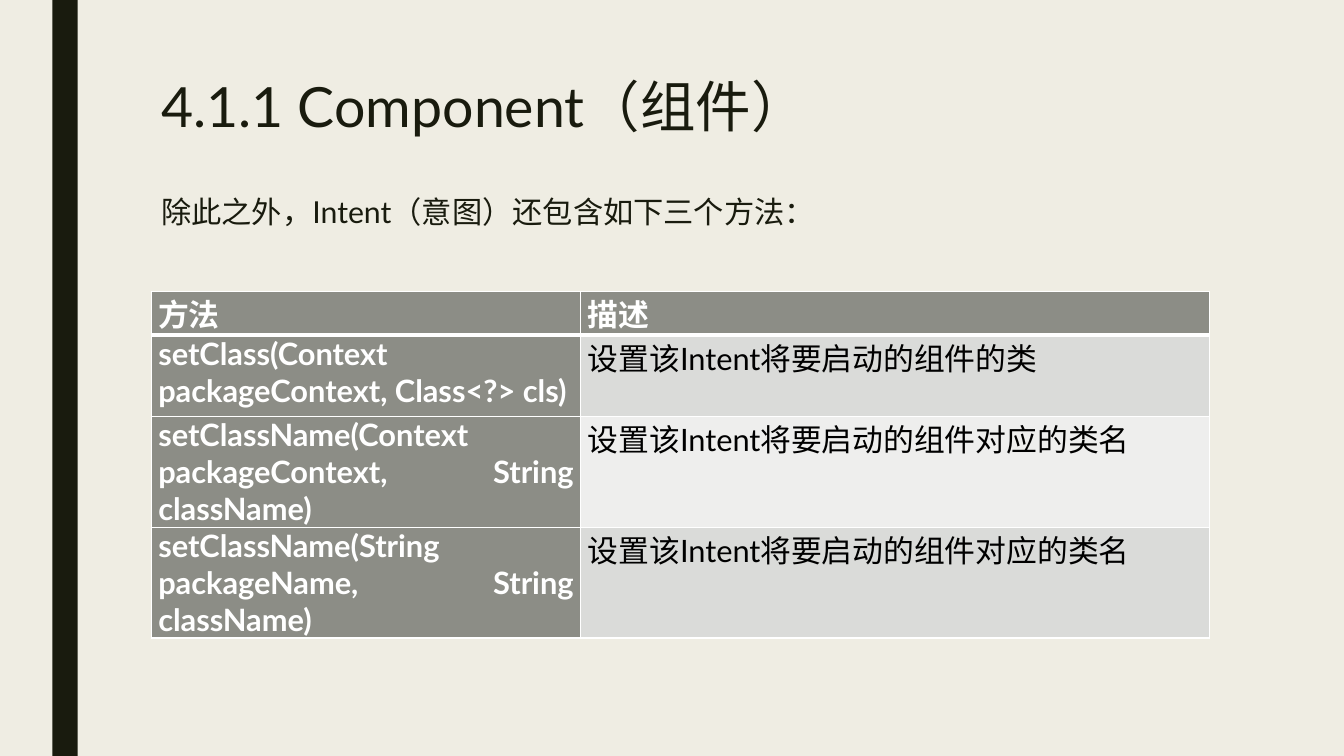
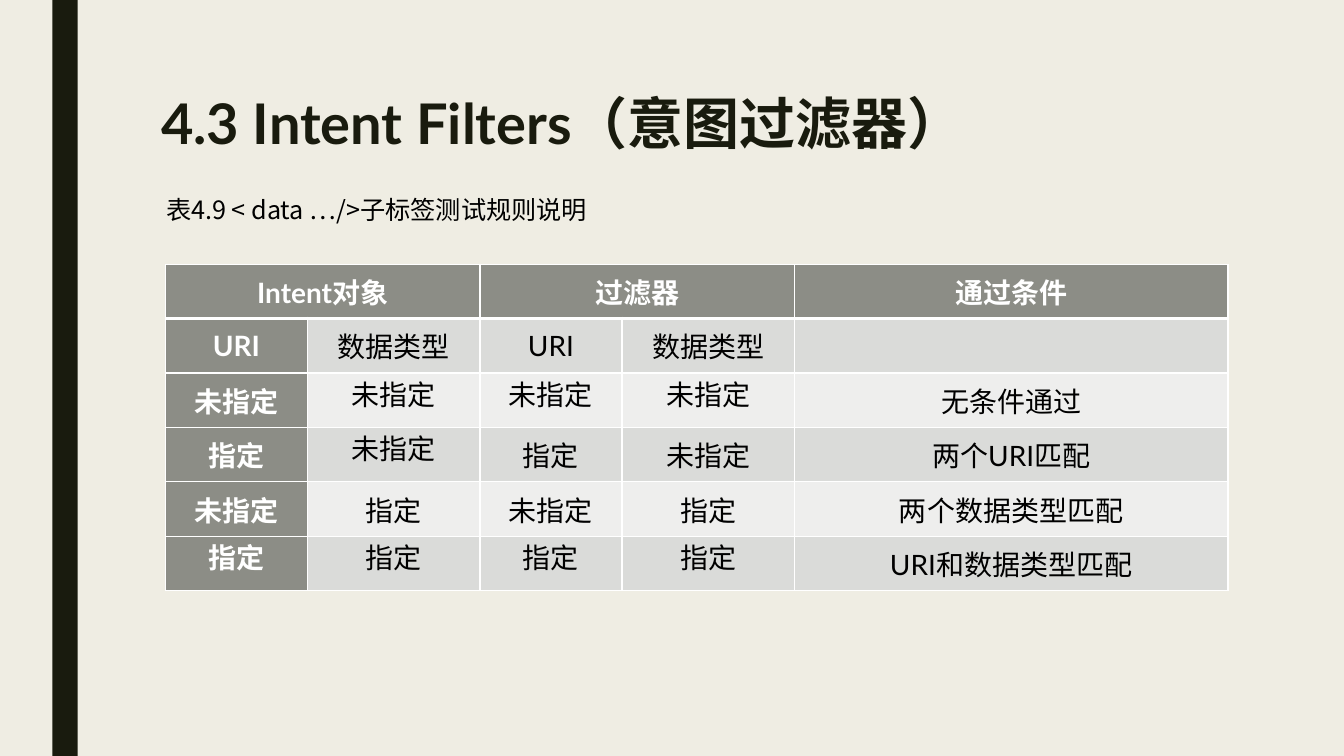
from lxml import etree
from pptx import Presentation
from pptx.dml.color import RGBColor
from pptx.enum import shapes, text
from pptx.oxml.ns import qn
from pptx.util import Inches, Pt

DARK, WHITE, BLACK = "191B0E", "FFFFFF", "000000"
BACKGROUND, HEADER = "EFEDE3", "8C8D86"
BANDS = ["DADBD9", "EEEEED"]
LATIN, CHINESE = "Lato", "Noto Sans CJK SC"
JUSTIFY, CENTER, LEFT = text.PP_ALIGN.JUSTIFY, text.PP_ALIGN.CENTER, text.PP_ALIGN.LEFT
TOP, MIDDLE = text.MSO_ANCHOR.TOP, text.MSO_ANCHOR.MIDDLE


def write(frame, words, size, colour, bold=False, align=LEFT, font=LATIN):
    frame.word_wrap = True
    paragraph = frame.paragraphs[0]
    paragraph.text = words
    paragraph.alignment = align
    paragraph.font.size = Pt(size)
    paragraph.font.bold = bold
    paragraph.font.color.rgb = RGBColor.from_string(colour)
    paragraph.font.name = font
    etree.SubElement(paragraph.font._element, qn("a:ea"), typeface=CHINESE)
    return paragraph


def add_border(cell, side, width):
    line = etree.SubElement(cell._tc.get_or_add_tcPr(), qn(f"a:ln{side}"), w=str(Pt(width)))
    fill = etree.SubElement(line, qn("a:solidFill"))
    etree.SubElement(fill, qn("a:srgbClr"), val=WHITE)


# Contents: None continues the cell to its left; top_cells are anchored at the top
pages = [
    {
        "title": "4.1.1 Component（组件）", "title_top": 0.75, "title_size": 39.6, "bold": False,
        "left": 1.5, "top": 2.89, "columns": [4.26, 6.24], "row_heights": [0.43, 0.81, 1.1, 1.1],
        "size": 22, "align": JUSTIFY,
        "top_cells": {(row, column) for row in range(4) for column in range(2)},
        "rows": [
            ["方法", "描述"],
            ["setClass(Context packageContext, Class<?> cls)", "设置该Intent将要启动的组件的类"],
            ["setClassName(Context packageContext, String className)",
             "设置该Intent将要启动的组件对应的类名"],
            ["setClassName(String packageName, String className)",
             "设置该Intent将要启动的组件对应的类名"],
        ],
    },
    {
        "title": "4.3 Intent Filters（意图过滤器）", "title_top": 0.91, "title_size": 40, "bold": True,
        "left": 1.64, "top": 2.62, "columns": [1.41, 1.71, 1.41, 1.71, 4.3], "row_heights": [0.54] * 6,
        "size": 20, "align": CENTER,
        "top_cells": {(2, 1), (2, 2), (2, 3), (3, 1), (5, 0), (5, 1), (5, 2), (5, 3)},
        "rows": [
            ["Intent对象", None, "过滤器", None, "通过条件"],
            ["URI", "数据类型", "URI", "数据类型", ""],
            ["未指定", "未指定", "未指定", "未指定", "无条件通过"],
            ["指定", "未指定", "指定", "未指定", "两个URI匹配"],
            ["未指定", "指定", "未指定", "指定", "两个数据类型匹配"],
            ["指定", "指定", "指定", "指定", "URI和数据类型匹配"],
        ],
    },
]

presentation = Presentation()
presentation.slide_width, presentation.slide_height = Inches(13.33), Inches(7.5)
slides = []

for page in pages:
    # Background, side band and title
    slide = presentation.slides.add_slide(presentation.slide_layouts[6])
    slides.append(slide)
    slide.background.fill.solid()
    slide.background.fill.fore_color.rgb = RGBColor.from_string(BACKGROUND)
    band = slide.shapes.add_shape(shapes.MSO_SHAPE.RECTANGLE, Inches(0.52), 0, Inches(0.25), Inches(7.5))
    band.shadow.inherit = False
    band.fill.solid()
    band.fill.fore_color.rgb = RGBColor.from_string(DARK)
    band.line.fill.background()
    title = slide.shapes.add_textbox(Inches(1.5), Inches(page["title_top"]), Inches(10.5), Inches(1.04))
    write(title.text_frame, page["title"], page["title_size"], DARK, page["bold"]).line_spacing = 0.89

    # Table
    rows, columns, heights = page["rows"], page["columns"], page["row_heights"]
    table = slide.shapes.add_table(
        len(rows), len(columns), Inches(page["left"]), Inches(page["top"]),
        Inches(sum(columns)), Inches(sum(heights))).table
    for column, width in enumerate(columns):
        table.columns[column].width = Inches(width)
    for row, height in enumerate(heights):
        table.rows[row].height = Inches(height)
        for column, words in enumerate(rows[row]):
            cell = table.cell(row, column)
            heading = row == 0 or column == 0
            cell.margin_left = cell.margin_right = Inches(0.07)
            cell.margin_top = cell.margin_bottom = 0
            cell.vertical_anchor = TOP if (row, column) in page["top_cells"] else MIDDLE
            for side in "LRTB":
                below_header = (row, side) in [(0, "B"), (1, "T")]
                add_border(cell, side, 3 if below_header else 1)
            cell.fill.solid()
            cell.fill.fore_color.rgb = RGBColor.from_string(HEADER if heading else BANDS[(row - 1) % 2])
            if words is None:
                table.cell(row, column - 1).merge(cell)
            else:
                write(cell.text_frame, words, page["size"], WHITE if heading else BLACK,
                      heading, page["align"])

# Lead sentence on the first slide
lead = slides[0].shapes.add_textbox(Inches(1.5), Inches(1.91), Inches(10.5), Inches(0.5))
write(lead.text_frame, "除此之外，Intent（意图）还包含如下三个方法：", 21.6, DARK).line_spacing = 0.89

# Table caption on the second slide
caption = slides[1].shapes.add_textbox(Inches(1.07), Inches(1.88), Inches(5.33), Inches(0.4))
caption.text_frame.vertical_anchor = MIDDLE
write(caption.text_frame, "表4.9 < data …/>子标签测试规则说明", 18, BLACK, align=CENTER, font=CHINESE)

presentation.save("out.pptx")
